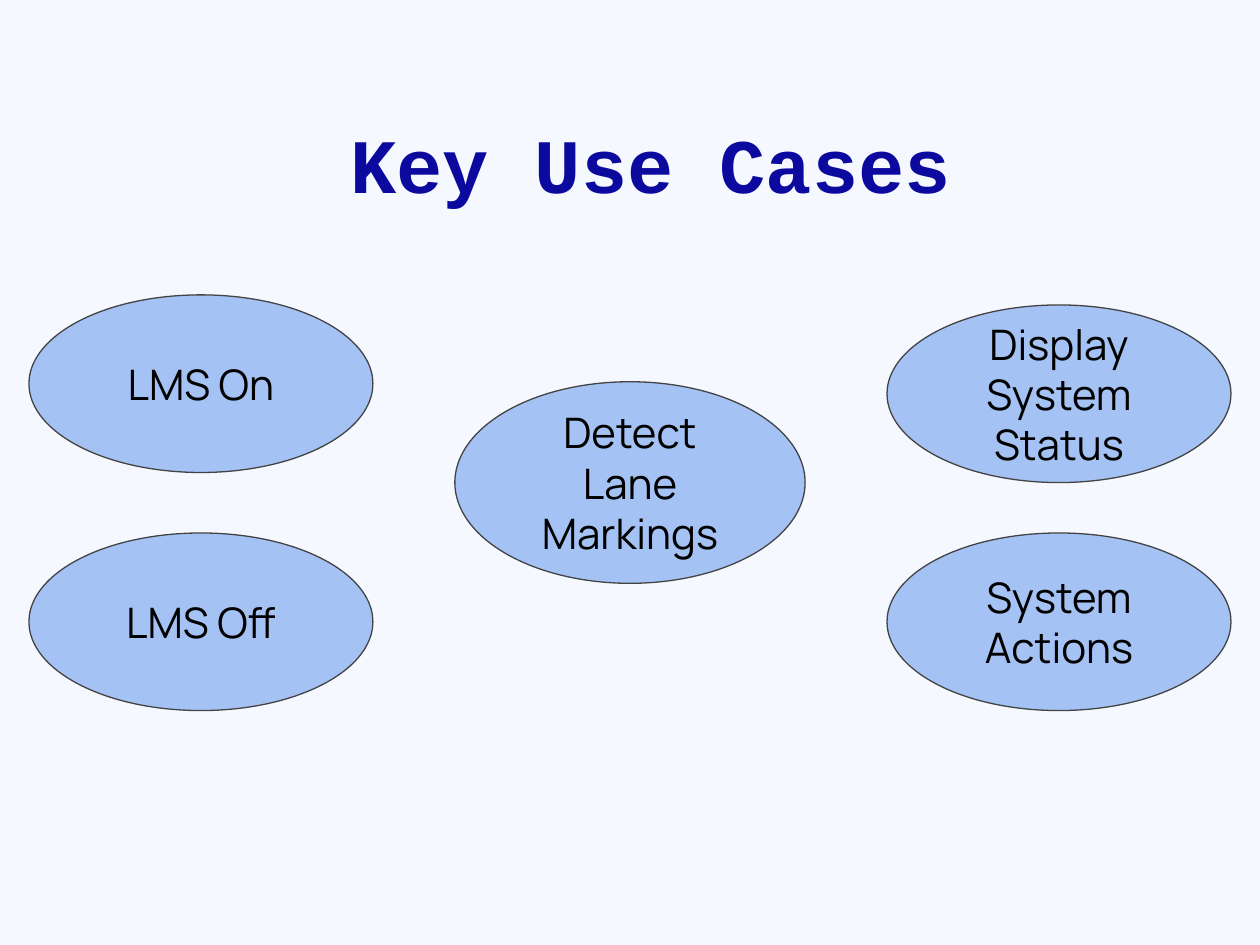
"""Build the Key Use Cases slide."""
from pptx import Presentation
from pptx.dml.color import RGBColor
from pptx.enum.shapes import MSO_SHAPE
from pptx.enum.text import MSO_ANCHOR, PP_ALIGN
from pptx.util import Inches, Pt

OVAL = MSO_SHAPE.OVAL
MIDDLE = MSO_ANCHOR.MIDDLE
CENTER = PP_ALIGN.CENTER

SLIDE_W, SLIDE_H = 10, 7.5
MARGIN = 0.23
SIDE_SIZE = (2.73, 1.41)
CENTER_SIZE = (2.78, 1.6)
LEFT_X = MARGIN
RIGHT_X = SLIDE_W - MARGIN - SIDE_SIZE[0]
CENTER_X = (SLIDE_W - CENTER_SIZE[0]) / 2
LOWER_Y = 4.23

TITLE = "Key Use Cases"
TITLE_BOX = (0.75, 0.67, 8.83, 1.25)
USE_CASES = [
    ("LMS Off", LEFT_X, LOWER_Y, SIDE_SIZE),
    ("Detect Lane Markings", CENTER_X, 3.03, CENTER_SIZE),
    ("Display System Status", RIGHT_X, 2.42, SIDE_SIZE),
    ("System Actions", RIGHT_X, LOWER_Y, SIDE_SIZE),
    ("LMS On", LEFT_X, 2.34, SIDE_SIZE),
]
TITLE_FONT = {"name": "Courier New", "size": Pt(44), "bold": True}
CASE_FONT = {"name": "Manrope", "size": Pt(24), "bold": False}


def color(hex_value):
    return RGBColor.from_string(hex_value)


def paint(fill, hex_value):
    fill.solid()
    fill.fore_color.rgb = color(hex_value)


def write(frame, wording, font_format, hex_value, inset_y):
    frame_format = {
        "text": wording, "word_wrap": True, "vertical_anchor": MIDDLE,
        "margin_left": Inches(0.1), "margin_right": Inches(0.1),
        "margin_top": Inches(inset_y), "margin_bottom": Inches(inset_y),
    }
    for key, value in frame_format.items():
        setattr(frame, key, value)
    paragraph = frame.paragraphs[0]
    paragraph.alignment = CENTER
    font = paragraph.runs[0].font
    for key, value in font_format.items():
        setattr(font, key, value)
    font.color.rgb = color(hex_value)


def add_use_case(slide, wording, left, top, size):
    bubble = slide.shapes.add_shape(OVAL, *map(Inches, (left, top, *size)))
    bubble.shadow.inherit = False
    paint(bubble.fill, "A4C2F4")
    paint(bubble.line.fill, "434343")
    bubble.line.width = Pt(0.75)
    write(bubble.text_frame, wording, CASE_FONT, "000000", 0.1)


def main():
    deck = Presentation()
    deck.slide_width, deck.slide_height = Inches(SLIDE_W), Inches(SLIDE_H)
    slide = deck.slides.add_slide(deck.slide_layouts[5])
    paint(slide.background.fill, "F5F8FF")

    heading = slide.shapes.title
    for key, value in zip(("left", "top", "width", "height"), TITLE_BOX):
        setattr(heading, key, Inches(value))
    write(heading.text_frame, TITLE, TITLE_FONT, "0C0A9E", 0.05)

    for use_case in USE_CASES:
        add_use_case(slide, *use_case)
    deck.save("out.pptx")


if __name__ == "__main__":
    main()
